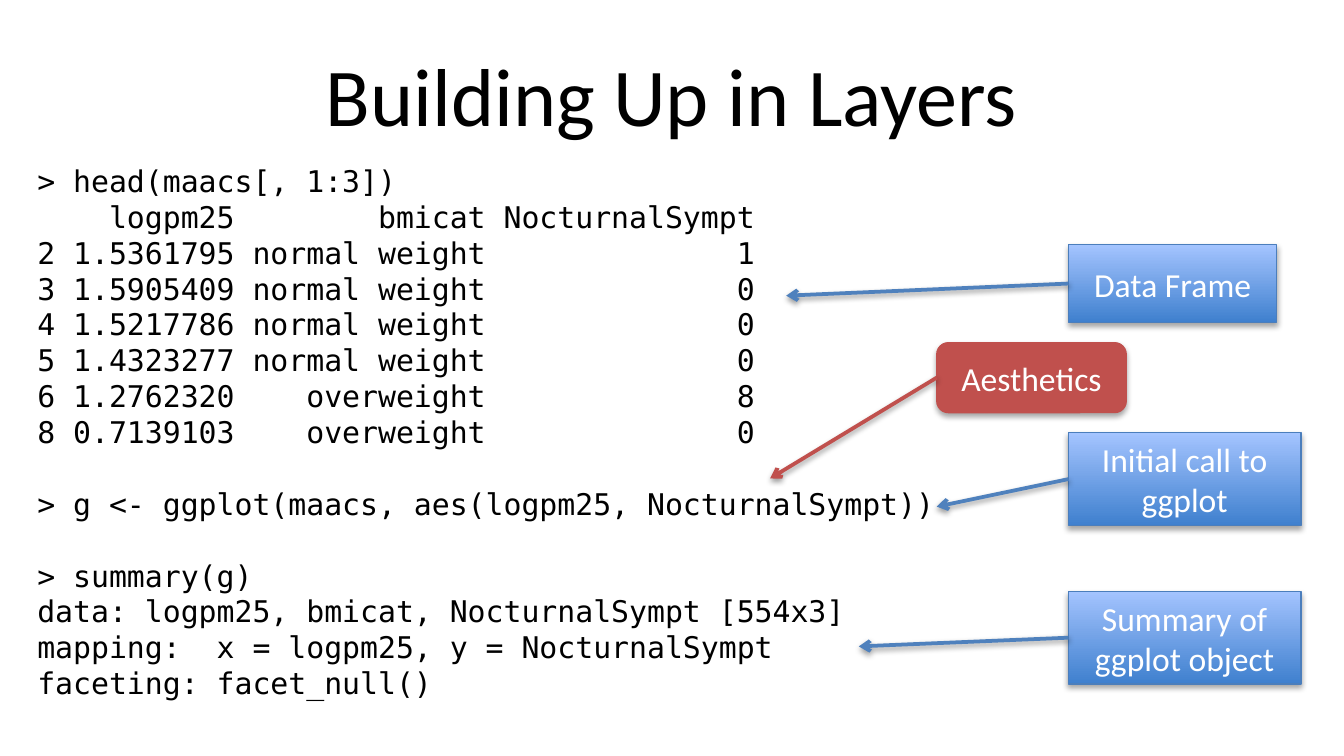
import pptx
import pptx.util
import pptx.dml.color
import pptx.enum.shapes
import pptx.enum.text
import pptx.oxml
import pptx.oxml.ns
from pptx.util import Inches, Pt

COLOURS = {"text": "000000", "white": "FFFFFF", "blue": "4F81BD", "blue_edge": "4B7EBC",
           "blue_dark": "3F80CE", "blue_light": "A4C4FF", "red": "C0504D", "shadow": "000000"}
SHAPES = pptx.enum.shapes.MSO_SHAPE
ALIGN = pptx.enum.text.PP_ALIGN
ANCHOR = pptx.enum.text.MSO_ANCHOR

DATA_ROWS = [
    ("", "logpm25", "bmicat", "NocturnalSympt"),
    ("2", "1.5361795", "normal weight", "1"),
    ("3", "1.5905409", "normal weight", "0"),
    ("4", "1.5217786", "normal weight", "0"),
    ("5", "1.4323277", "normal weight", "0"),
    ("6", "1.2762320", "overweight", "8"),
    ("8", "0.7139103", "overweight", "0"),
]
CONSOLE_BLOCKS = [
    ["> head(maacs[, 1:3])"]
    + [f"{row:1} {pm:>9} {bmi:>13} {symptoms:>14}" for row, pm, bmi, symptoms in DATA_ROWS],
    ["> g <- ggplot(maacs, aes(logpm25, NocturnalSympt))"],
    ["> summary(g)", "data: logpm25, bmicat, NocturnalSympt [554x3]",
     "mapping:  x = logpm25, y = NocturnalSympt", "faceting: facet_null() "],
]
# label, box (left, top, width, height), arrow tip (x, y), colour
CALLOUTS = [
    ("Data Frame", (7.95, 1.82, 1.55, 0.58), (5.85, 2.2), "blue"),
    ("Initial call to ggplot", (7.95, 3.22, 1.73, 0.69), (6.97, 3.77), "blue"),
    ("Summary of ggplot object", (7.95, 4.4, 1.73, 0.69), (6.39, 4.81), "blue"),
    ("Aesthetics", (6.97, 2.55, 1.41, 0.52), (5.73, 3.56), "red"),
]


def colour(name):
    """Return the named colour."""
    return pptx.dml.color.RGBColor.from_string(COLOURS[name])


def style_font(para, face, size, name):
    """Set the font of a whole paragraph."""
    para.font.name = face
    para.font.size = Pt(size)
    para.font.color.rgb = colour(name)


def add_shadow(shape, opacity, distance):
    """Give a shape or connector a soft shadow below it."""
    properties = shape._element.spPr
    for old in properties.findall(pptx.oxml.ns.qn("a:effectLst")):
        properties.remove(old)
    properties.append(pptx.oxml.parse_xml(
        f'<a:effectLst {pptx.oxml.ns.nsdecls("a")}>'
        f'<a:outerShdw blurRad="{Pt(3.1)}" dist="{Pt(distance)}" dir="5400000" rotWithShape="0">'
        f'<a:srgbClr val="{COLOURS["shadow"]}"><a:alpha val="{opacity * 1000}"/></a:srgbClr>'
        '</a:outerShdw></a:effectLst>'))


def add_title(page, area, text):
    """Write the centred slide title in its area."""
    frame = page.shapes.add_textbox(*map(Inches, area)).text_frame
    frame.word_wrap = True
    frame.vertical_anchor = ANCHOR.MIDDLE
    para = frame.paragraphs[0]
    para.text = text
    para.alignment = ALIGN.CENTER
    style_font(para, "Calibri", 44, "text")


def add_console(page, area, blocks):
    """Write the console session, with one line of space between blocks."""
    pitch = 19.22
    frame = page.shapes.add_textbox(*map(Inches, area)).text_frame
    frame.word_wrap = True
    para = None
    for block in blocks:
        for index, line in enumerate(block):
            first = para is None
            para = frame.paragraphs[0] if first else frame.add_paragraph()
            para.text = line
            para.line_spacing = Pt(pitch)
            para.space_before = Pt(pitch if index == 0 and not first else 0)
            style_font(para, "DejaVu Sans Mono", 16, "text")


def add_arrow(page, start, tip, name):
    """Draw an arrow from start to tip."""
    arrow = page.shapes.add_connector(
        pptx.enum.shapes.MSO_CONNECTOR.STRAIGHT, *map(Inches, (*start, *tip)))
    arrow.line.color.rgb = colour(name)
    arrow.line.width = Pt(2)
    arrow.line._get_or_add_ln().append(pptx.oxml.parse_xml(
        f'<a:tailEnd {pptx.oxml.ns.nsdecls("a")} type="arrow"/>'))
    add_shadow(arrow, 38, 1.6)


def add_callout(page, area, label, tip, name):
    """Draw a labelled box with an arrow from the middle of its left side."""
    left, top, width, height = area
    is_blue = name == "blue"
    kind = SHAPES.RECTANGLE if is_blue else SHAPES.ROUNDED_RECTANGLE
    box = page.shapes.add_shape(kind, *map(Inches, area))
    if is_blue:
        box.fill.gradient()
        box.fill.gradient_angle = 90
        for stop, position, shade in zip(box.fill.gradient_stops, (0, 1),
                                         ("blue_dark", "blue_light")):
            stop.position = position
            stop.color.rgb = colour(shade)
    else:
        box.fill.solid()
        box.fill.fore_color.rgb = colour(name)
    box.line.color.rgb = colour("blue_edge" if is_blue else name)
    box.line.width = Pt(0.75)
    add_shadow(box, 35, 1.8)
    frame = box.text_frame
    frame.word_wrap = True
    frame.vertical_anchor = ANCHOR.MIDDLE
    para = frame.paragraphs[0]
    para.text = label
    para.alignment = ALIGN.CENTER
    style_font(para, "Calibri", 18, "white")
    add_arrow(page, (left, top + height / 2), tip, name)


def build_deck():
    """Build the deck with its single 16:9 slide."""
    deck = pptx.Presentation()
    deck.slide_width, deck.slide_height = Inches(10), Inches(10 * 9 / 16)
    page = deck.slides.add_slide(deck.slide_layouts[6])
    add_title(page, (0.5, 0.23, 9, 0.94), "Building Up in Layers")
    add_console(page, (0.18, 1.16, 6.93, 4.41), CONSOLE_BLOCKS)
    for label, area, tip, name in CALLOUTS:
        add_callout(page, area, label, tip, name)
    return deck


build_deck().save("out.pptx")
